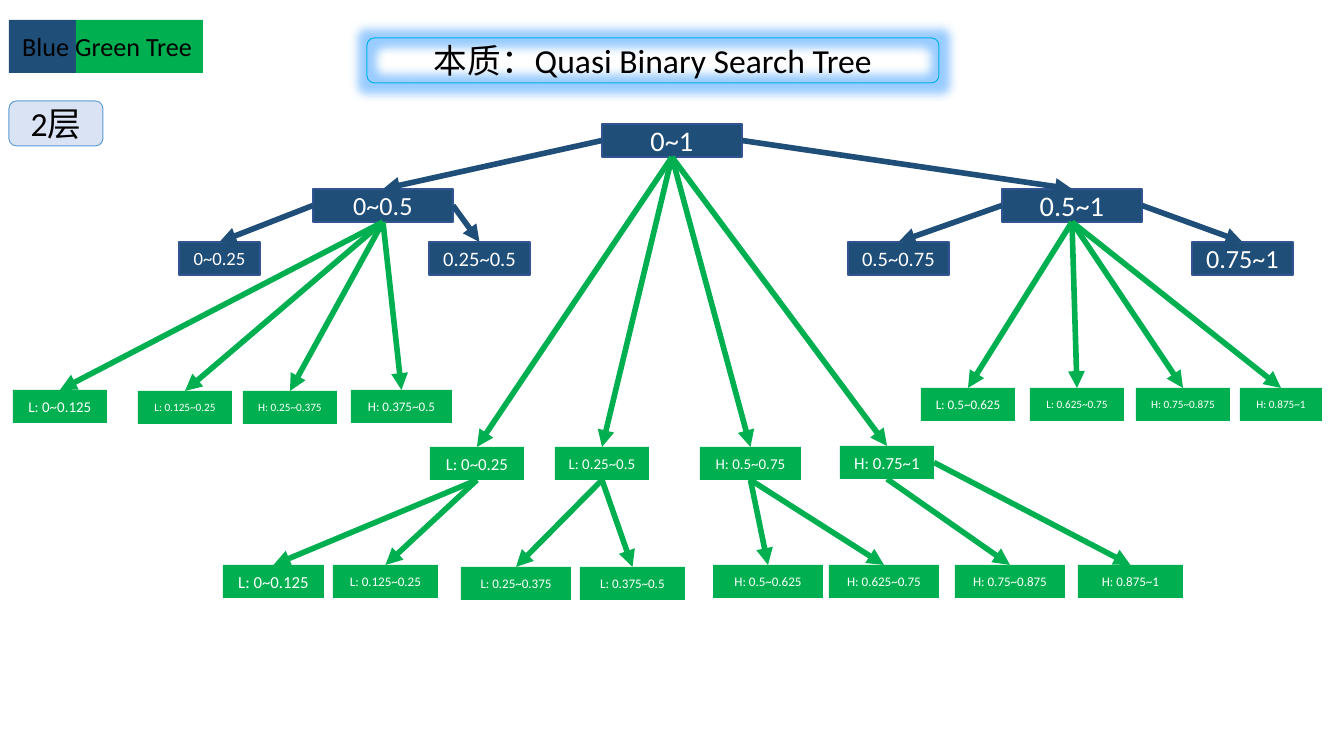
from dataclasses import dataclass

from lxml.etree import SubElement
from pptx import Presentation
from pptx.dml.color import RGBColor
from pptx.enum.shapes import MSO_CONNECTOR, MSO_SHAPE
from pptx.enum.text import MSO_ANCHOR, PP_ALIGN
from pptx.oxml.ns import qn
from pptx.util import Inches, Pt

PIXELS_PER_INCH = 134.4
TOP, LEFT, BOTTOM, RIGHT = range(4)
NODE_HEIGHT = 33


def px(length):
    return Inches(length / PIXELS_PER_INCH)


@dataclass(frozen=True)
class Theme:
    font: str = "Calibri"
    blue: str = "1F4E79"
    blue_edge: str = "325491"
    green: str = "00B050"
    white: str = "FFFFFF"
    black: str = "000000"
    title_edge: str = "00B0F0"
    title_glow: str = "99CCFF"
    level_fill: str = "DAE3F3"
    level_edge: str = "5B9BD5"
    title_size: float = 18
    legend_size: float = 14
    root_size: float = 15.2
    arrow_width: float = 3


class TreeSlide:
    """Draws boxes, nodes and arrows of a search tree on one slide."""

    def __init__(self, slide, theme):
        self.shapes = slide.shapes
        self.theme = theme

    def set_text(self, frame, text, size, color, align):
        frame.word_wrap = False
        para = frame.paragraphs[0]
        para.text = text
        para.alignment = align
        para.font.name = self.theme.font
        para.font.size = Pt(size)
        para.font.color.rgb = RGBColor.from_string(color)

    def box(self, bounds, fill=None, edge=None, edge_width=1, kind=MSO_SHAPE.RECTANGLE):
        box = self.shapes.add_shape(kind, *map(px, bounds))
        box.shadow.inherit = False
        if fill:
            box.fill.solid()
            box.fill.fore_color.rgb = RGBColor.from_string(fill)
        else:
            box.fill.background()
        if edge:
            box.line.color.rgb = RGBColor.from_string(edge)
            box.line.width = Pt(edge_width)
        else:
            box.line.fill.background()
        return box

    def label(self, bounds, text, size):
        label = self.shapes.add_textbox(*map(px, bounds))
        self.set_text(label.text_frame, text, size, self.theme.black, PP_ALIGN.LEFT)

    def badge(self, bounds, text, edge, fill=None):
        badge = self.box(bounds, fill, edge, 0.5, MSO_SHAPE.ROUNDED_RECTANGLE)
        badge.text_frame.vertical_anchor = MSO_ANCHOR.MIDDLE
        self.set_text(badge.text_frame, text, self.theme.title_size, self.theme.black, PP_ALIGN.CENTER)
        return badge

    def glow(self, box, color, radius):
        effects = box.element.spPr.find(qn("a:effectLst"))
        glow = SubElement(effects, qn("a:glow"), rad=str(int(px(radius))))
        SubElement(glow, qn("a:srgbClr"), val=color)

    def node(self, text, left, top, width, size, color):
        edge = self.theme.blue_edge if color == self.theme.blue else None
        node = self.box((left, top, width, NODE_HEIGHT), color, edge)
        node.text_frame.vertical_anchor = MSO_ANCHOR.MIDDLE
        self.set_text(node.text_frame, text, size, self.theme.white, PP_ALIGN.CENTER)
        return node

    def arrow(self, parent, side, child, color):
        arrow = self.shapes.add_connector(MSO_CONNECTOR.STRAIGHT, 0, 0, 0, 0)
        arrow.begin_connect(parent, side)
        arrow.end_connect(child, TOP)
        arrow.line.color.rgb = RGBColor.from_string(color)
        arrow.line.width = Pt(self.theme.arrow_width)
        properties = arrow.element.spPr
        SubElement(properties.find(qn("a:ln")), qn("a:tailEnd"), type="triangle")
        SubElement(properties, qn("a:effectLst"))

    def child(self, parent, side, color, *details):
        child = self.node(*details, color)
        self.arrow(parent, side, child, color)
        return child

    def blue_pair(self, parent, *pair):
        return [self.child(parent, side, self.theme.blue, *details)
                for side, details in zip((LEFT, RIGHT), pair)]

    def green_group(self, parent, *group, sides=(BOTTOM,) * 4):
        return [self.child(parent, side, self.theme.green, *details)
                for side, details in zip(sides, group)]


def main():
    theme = Theme()
    deck = Presentation()
    deck.slide_width, deck.slide_height = px(1344), px(756)
    page = TreeSlide(deck.slides.add_slide(deck.slide_layouts[6]), theme)

    page.box((9, 20, 67, 53), theme.blue)
    page.box((76, 20, 127, 53), theme.green)
    page.label((9, 24, 207, 46), "Blue Green Tree", theme.legend_size)
    title = page.badge((367, 38, 572, 45), "本质：Quasi Binary Search Tree", theme.title_edge)
    page.glow(title, theme.title_glow, 18)
    page.badge((9, 101, 94, 45), "2层", theme.level_edge, theme.level_fill)

    root = page.node("0~1", 602, 124, 140, theme.root_size, theme.blue)
    lower, upper = page.blue_pair(
        root, ("0~0.5", 313, 189, 140, 14), ("0.5~1", 1002, 189, 140, theme.root_size))
    page.blue_pair(lower, ("0~0.25", 179, 242, 81, 10), ("0.25~0.5", 429, 242, 101, 11))
    page.blue_pair(upper, ("0.5~0.75", 848, 242, 101, 11), ("0.75~1", 1192, 242, 101, 14))

    quarters = page.green_group(
        root,
        ("L: 0~0.25", 430, 447, 94, 9),
        ("L: 0.25~0.5", 555, 447, 94, 8),
        ("H: 0.5~0.75", 700, 447, 101, 8),
        ("H: 0.75~1", 840, 446, 94, 9))
    page.green_group(
        lower,
        ("L: 0~0.125", 13, 390, 94, 8),
        ("L: 0.125~0.25", 138, 391, 94, 6),
        ("H: 0.25~0.375", 243, 391, 94, 6),
        ("H: 0.375~0.5", 351, 390, 101, 7))
    page.green_group(
        upper,
        ("L: 0.5~0.625", 921, 388, 94, 7),
        ("L: 0.625~0.75", 1030, 388, 94, 6),
        ("H: 0.75~0.875", 1136, 388, 94, 6),
        ("H: 0.875~1", 1240, 388, 82, 6))

    first, second, third, fourth = quarters
    page.green_group(
        first, ("L: 0~0.125", 223, 565, 101, 9), ("L: 0.125~0.25", 333, 565, 105, 7))
    page.green_group(
        second, ("L: 0.25~0.375", 461, 567, 110, 7), ("L: 0.375~0.5", 580, 567, 105, 7))
    page.green_group(
        third, ("H: 0.5~0.625", 713, 565, 110, 7), ("H: 0.625~0.75", 829, 565, 110, 7))
    page.green_group(
        fourth, ("H: 0.75~0.875", 955, 565, 110, 7), ("H: 0.875~1", 1078, 565, 105, 7),
        sides=(BOTTOM, RIGHT))

    deck.save("out.pptx")


if __name__ == "__main__":
    main()
